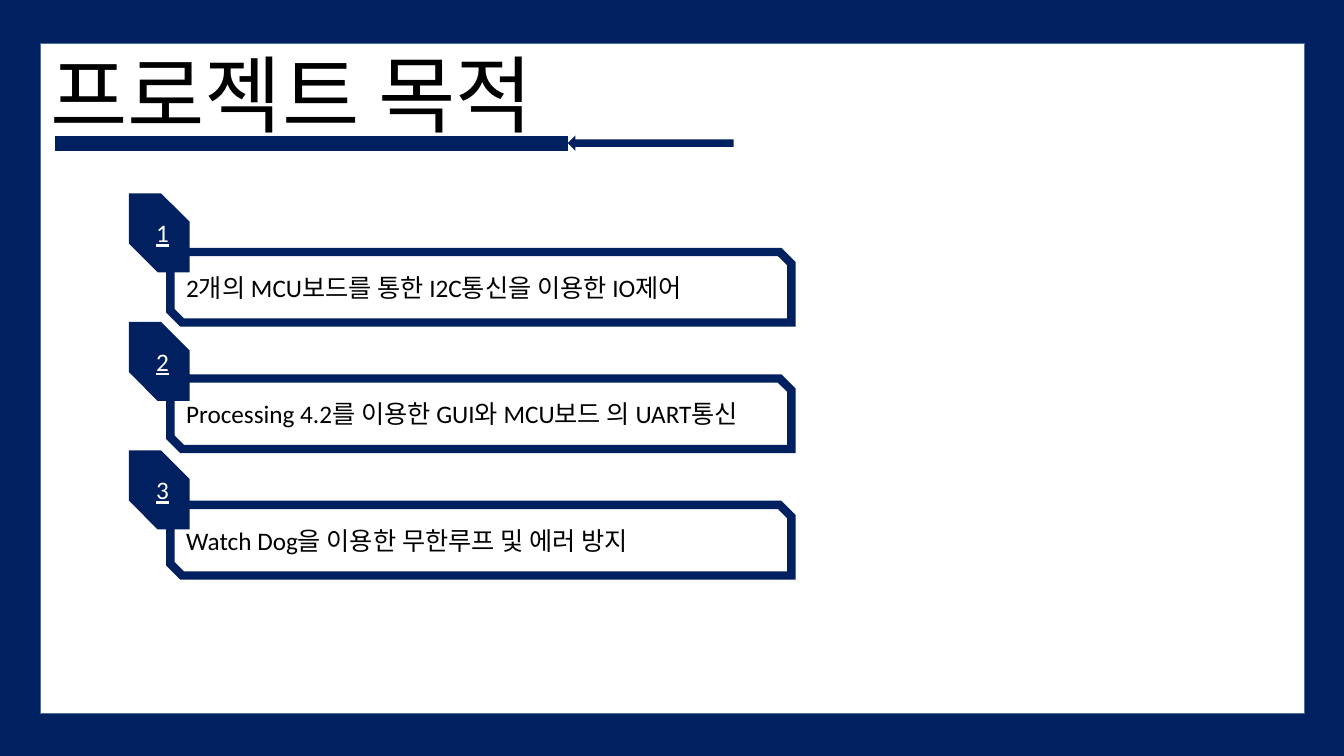
import dataclasses

import lxml.etree
import pptx
import pptx.dml.color
import pptx.enum.shapes
import pptx.enum.text
import pptx.oxml.ns
import pptx.shapes.autoshape
import pptx.slide
import pptx.util

Inches = pptx.util.Inches
Shapes = pptx.enum.shapes.MSO_SHAPE

NAVY = "002060"
WHITE = "FFFFFF"
BLACK = "000000"
FRAME_BLUE = "43739E"


@dataclasses.dataclass(frozen=True)
class Block:
    kind: Shapes
    left: float
    top: float
    width: float
    height: float
    fill: str = NAVY
    line: str = NAVY
    line_width: float = 1
    adjustments: tuple[float, ...] = ()


def color(value: str) -> pptx.dml.color.RGBColor:
    return pptx.dml.color.RGBColor.from_string(value)


def write_text(
    shape: pptx.shapes.autoshape.Shape,
    text: str,
    size: float,
    text_color: str,
    underline: bool = False,
) -> None:
    frame = shape.text_frame
    frame.text = text
    frame.word_wrap = True
    frame.vertical_anchor = pptx.enum.text.MSO_ANCHOR.MIDDLE
    paragraph = frame.paragraphs[0]
    paragraph.alignment = pptx.enum.text.PP_ALIGN.LEFT
    font = paragraph.runs[0].font
    font.name = "Calibri"
    font.size = pptx.util.Pt(size)
    font.color.rgb = color(text_color)
    if underline:
        font.underline = True


def draw_block(slide: pptx.slide.Slide, block: Block) -> pptx.shapes.autoshape.Shape:
    shape = slide.shapes.add_shape(
        block.kind,
        Inches(block.left),
        Inches(block.top),
        Inches(block.width),
        Inches(block.height),
    )
    shape.shadow.inherit = False
    shape.fill.solid()
    shape.fill.fore_color.rgb = color(block.fill)
    shape.line.color.rgb = color(block.line)
    shape.line.width = pptx.util.Pt(block.line_width)
    outline = shape.line._get_or_add_ln()
    miter = lxml.etree.SubElement(outline, pptx.oxml.ns.qn("a:miter"))
    miter.set("lim", "800000")
    for index, adjustment in enumerate(block.adjustments):
        shape.adjustments[index] = adjustment
    return shape


def draw_title(slide: pptx.slide.Slide, text: str) -> None:
    title = slide.shapes.add_textbox(
        Inches(0.4), Inches(0.26), Inches(11.5), Inches(1.45)
    )
    write_text(title, text, 60, BLACK)
    title.text_frame.paragraphs[0].line_spacing = 0.9


def draw_goals(slide: pptx.slide.Slide, goals: list[str]) -> None:
    for index, goal in enumerate(goals):
        box = Block(
            Shapes.SNIP_2_DIAG_RECTANGLE,
            1.69, 2.5 + 1.255 * index, 6.16, 0.7,
            fill=WHITE, line_width=6,
        )
        write_text(draw_block(slide, box), goal, 18, BLACK)
    for index in range(len(goals)):
        badge = Block(
            Shapes.SNIP_2_DIAG_RECTANGLE,
            1.32, 1.96 + 1.275 * index, 0.52, 0.7,
            line_width=6, adjustments=(0, 0.5),
        )
        write_text(draw_block(slide, badge), str(index + 1), 18, WHITE, underline=True)


def main() -> None:
    presentation = pptx.Presentation()
    presentation.slide_width = Inches(13.33)
    presentation.slide_height = Inches(7.5)
    slide = presentation.slides.add_slide(presentation.slide_layouts[6])
    slide.background.fill.solid()
    slide.background.fill.fore_color.rgb = color(NAVY)

    draw_block(
        slide,
        Block(Shapes.RECTANGLE, 0.4, 0.43, 12.54, 6.65, fill=WHITE, line=FRAME_BLUE),
    )
    draw_title(slide, "프로젝트 목적")
    draw_goals(
        slide,
        [
            "2개의 MCU보드를 통한 I2C통신을 이용한 IO제어",
            "Processing 4.2를 이용한 GUI와 MCU보드 의 UART통신",
            "Watch Dog을 이용한 무한루프 및 에러 방지",
        ],
    )
    draw_block(slide, Block(Shapes.RECTANGLE, 0.55, 1.36, 5.08, 0.13))
    draw_block(slide, Block(Shapes.LEFT_ARROW, 5.64, 1.36, 1.63, 0.12))
    presentation.save("out.pptx")


if __name__ == "__main__":
    main()
